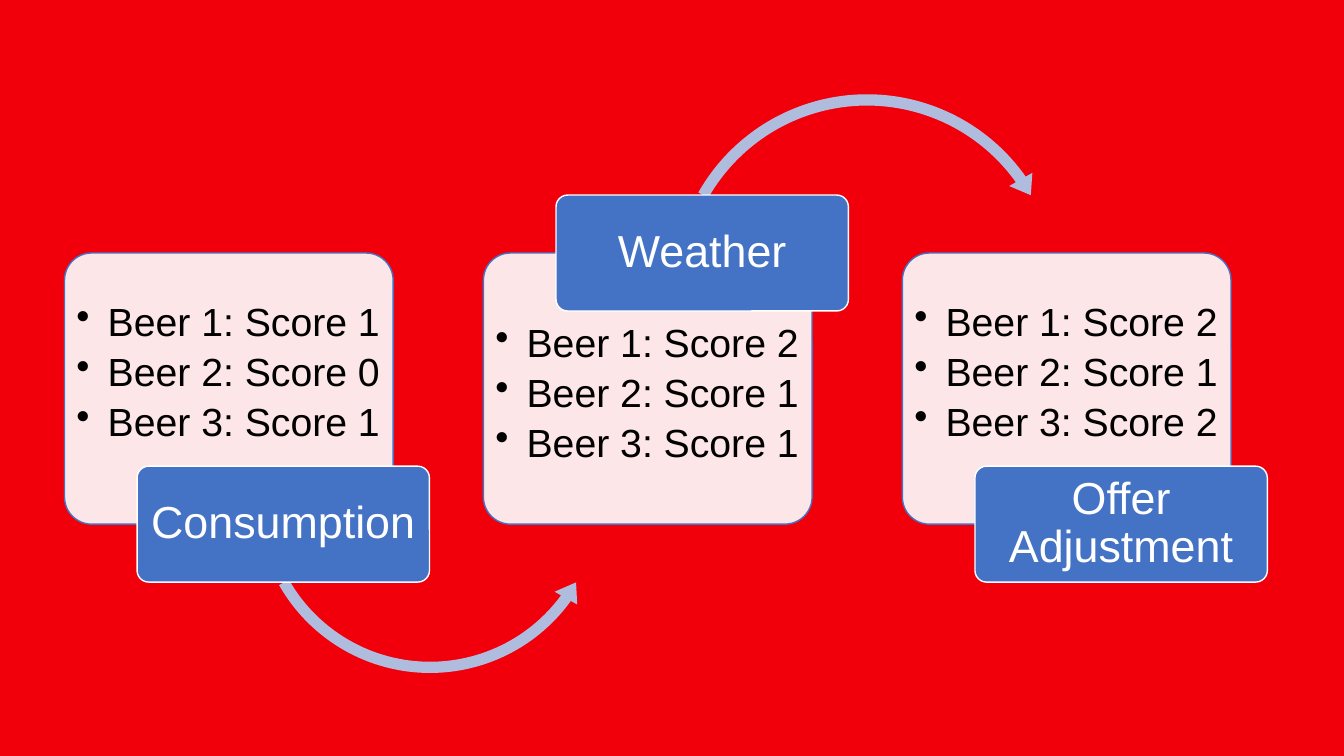
"""Build a slide of three scored beer cards joined by curved arrows."""
import pptx
import pptx.dml.color
import pptx.enum.shapes
import pptx.enum.text
import pptx.util
from lxml import etree

Inches, Pt = pptx.util.Inches, pptx.util.Pt
SHAPE = pptx.enum.shapes.MSO_SHAPE
ALIGN, ANCHOR = pptx.enum.text.PP_ALIGN, pptx.enum.text.MSO_ANCHOR

RED, BLUE, PALE_BLUE, WHITE, BLACK = "F1000B", "4472C4", "B0BCDE", "FFFFFF", "000000"
LEFT_ARROW = (SHAPE.LEFT_CIRCULAR_ARROW, 2.47, 3.16, 3.59, (0.031, 3.847, 21.603, 90.245, 0.036))
RIGHT_ARROW = (SHAPE.CIRCULAR_ARROW, 6.6, 0.86, 4, (0.028, 3.421, 194.824, 125.755, 0.033))
STEPS = [
    ("Consumption", "bottom", (1, 0, 1), LEFT_ARROW),
    ("Weather", "top", (2, 1, 1), RIGHT_ARROW),
    ("Offer Adjustment", "bottom", (2, 1, 2), None),
]
CARD_LEFT, CARD_TOP, CARD_WIDTH, CARD_HEIGHT, CARD_PITCH = 0.64, 2.51, 3.26, 2.69, 4.155
LABEL_SHIFT, LABEL_WIDTH, LABEL_HEIGHT = 0.72, 2.9, 1.15
SCORES_INSET = {"bottom": 0.41, "top": 0.62}
INDENT = Inches(0.31)


def rgb(color):
    return pptx.dml.color.RGBColor.from_string(color)


def add_block(kind, box, adjustments, fill, line=None):
    block = slide.shapes.add_shape(kind, *map(Inches, box))
    block.shadow.inherit = False
    for index, value in enumerate(adjustments):
        block.adjustments[index] = value
    block.fill.solid()
    block.fill.fore_color.rgb = rgb(fill)
    if line:
        block.line.color.rgb = rgb(line)
        block.line.width = Pt(1)
    else:
        block.line.fill.background()
    return block


def write(block, text, insets, anchor, align, size, color, space_after=0, bulleted=False):
    frame = block.text_frame
    frame.word_wrap = True
    frame.vertical_anchor = anchor
    frame.margin_left, frame.margin_top, frame.margin_right, frame.margin_bottom = map(Inches, insets)
    frame.text = text
    for paragraph in frame.paragraphs:
        paragraph.alignment = align
        paragraph.line_spacing = 0.9
        paragraph.space_after = Pt(space_after)
        if bulleted:
            properties = paragraph._p.get_or_add_pPr()
            properties.set("marL", str(INDENT))
            properties.set("indent", str(-INDENT))
            etree.SubElement(properties, pptx.oxml.ns.qn("a:buChar"), char="•")
        for run in paragraph.runs:
            run.font.name = "Arial"
            run.font.size = Pt(size)
            run.font.color.rgb = rgb(color)


deck = pptx.Presentation()
deck.slide_width, deck.slide_height = Inches(13.33), Inches(7.5)
slide = deck.slides.add_slide(deck.slide_layouts[6])
slide.background.fill.solid()
slide.background.fill.fore_color.rgb = rgb(RED)

for position, (title, edge, scores, arrow) in enumerate(STEPS):
    left = CARD_LEFT + position * CARD_PITCH
    card = add_block(SHAPE.ROUNDED_RECTANGLE, (left, CARD_TOP, CARD_WIDTH, CARD_HEIGHT), (0.1,), WHITE, BLUE)
    card_color = card.fill._xPr.find(".//" + pptx.oxml.ns.qn("a:srgbClr"))
    etree.SubElement(card_color, pptx.oxml.ns.qn("a:alpha"), val="90000")
    score_lines = "\n".join(f"Beer {beer}: Score {score}" for beer, score in enumerate(scores, 1))
    write(card, score_lines, (0.04, SCORES_INSET[edge], 0, 0), ANCHOR.TOP, ALIGN.LEFT, 28, BLACK, 5.5, True)
    if arrow:
        kind, arrow_left, arrow_top, diameter, bend = arrow
        add_block(kind, (arrow_left, arrow_top, diameter, diameter), bend, PALE_BLUE)
    edge_y = CARD_TOP + (CARD_HEIGHT if edge == "bottom" else 0)
    label_box = (left + LABEL_SHIFT, edge_y - LABEL_HEIGHT / 2, LABEL_WIDTH, LABEL_HEIGHT)
    label = add_block(SHAPE.ROUNDED_RECTANGLE, label_box, (0.1,), BLUE, WHITE)
    write(label, title, (0.07, 0.04, 0.07, 0.04), ANCHOR.MIDDLE, ALIGN.CENTER, 32, WHITE)

deck.save("out.pptx")
